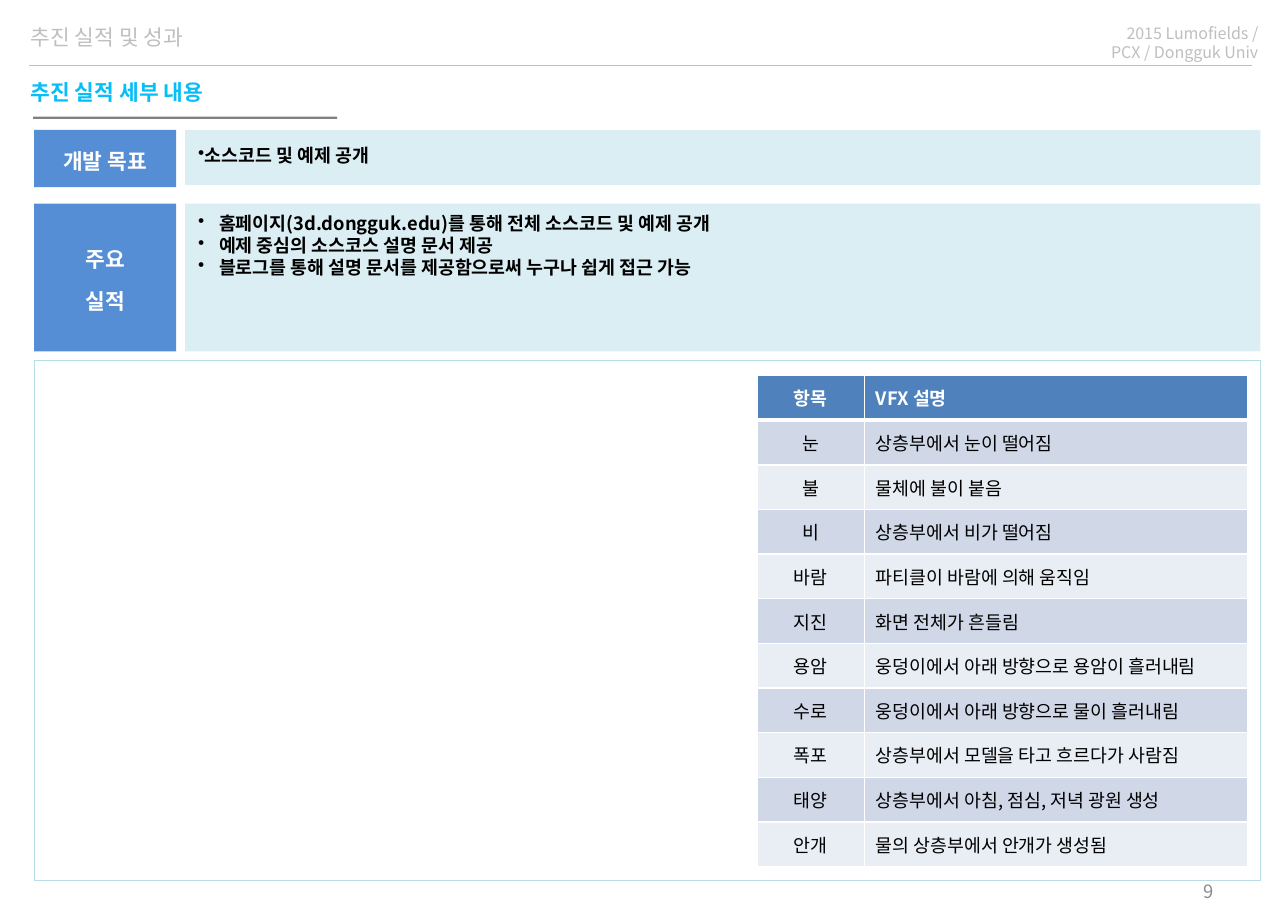
from collections import namedtuple
from lxml.etree import SubElement
from pptx import Presentation
from pptx.dml.color import RGBColor
from pptx.enum.shapes import MSO_CONNECTOR, MSO_SHAPE
from pptx.enum.text import MSO_ANCHOR as ANCHOR, PP_ALIGN as ALIGN
from pptx.oxml.ns import qn
from pptx.util import Inches, Pt

FONT = "Noto Sans CJK KR"
WHITE, BLACK, PALE_GRAY = "FFFFFF", "000000", "BFBFBF"
BLUE, PALE_BLUE, FRAME_BLUE = "558ED5", "DBEEF4", "B7DEE8"
HEADER_BLUE, BANDS = "4F81BD", ("D0D8E8", "E9EDF4")

EFFECTS = [
    ("항목", "VFX 설명"),
    ("눈", "상층부에서 눈이 떨어짐"),
    ("불", "물체에 불이 붙음"),
    ("비", "상층부에서 비가 떨어짐"),
    ("바람", "파티클이 바람에 의해 움직임"),
    ("지진", "화면 전체가 흔들림"),
    ("용암", "웅덩이에서 아래 방향으로 용암이 흘러내림"),
    ("수로", "웅덩이에서 아래 방향으로 물이 흘러내림"),
    ("폭포", "상층부에서 모델을 타고 흐르다가 사람짐"),
    ("태양", "상층부에서 아침, 점심, 저녁 광원 생성"),
    ("안개", "물의 상층부에서 안개가 생성됨"),
]

Box = namedtuple("Box", "left top width height")


def color(value):
    """Turn a hex string into a colour."""
    return RGBColor.from_string(value)


def inches(box):
    """Turn a box into lengths for python-pptx."""
    return [Inches(length) for length in box]


def write(frame, lines, size, ink, bold=False, align=ALIGN.LEFT, anchor=ANCHOR.TOP,
          bullet=None, spacing=None, gap=0):
    """Fill a text frame with equally styled paragraphs."""
    frame.word_wrap = True
    frame.vertical_anchor = anchor
    for index, line in enumerate(lines):
        paragraph = frame.paragraphs[0] if index == 0 else frame.add_paragraph()
        paragraph.text = line
        paragraph.alignment = align
        if spacing:
            paragraph.line_spacing = spacing
        if index and gap:
            paragraph.space_before = Pt(gap)
        properties = paragraph._p.get_or_add_pPr()
        if bullet:
            margin, indent = bullet
            properties.set("marL", str(Inches(margin)))
            properties.set("indent", str(Inches(indent)))
            SubElement(properties, qn("a:buChar"), char="•")
        font = paragraph.font
        font.size, font.bold, font.name = Pt(size), bold, FONT
        font.color.rgb = color(ink)
        SubElement(properties.find(qn("a:defRPr")), qn("a:ea"), typeface=FONT)


def add_text(slide, box, lines, size, ink, **style):
    """Add a wrapped text box."""
    write(slide.shapes.add_textbox(*inches(box)).text_frame, lines, size, ink, **style)


def add_panel(slide, box, fill=None, line=None):
    """Add a flat rectangle with an optional fill and outline."""
    panel = slide.shapes.add_shape(MSO_SHAPE.RECTANGLE, *inches(box))
    panel.shadow.inherit = False
    if fill:
        panel.fill.solid()
        panel.fill.fore_color.rgb = color(fill)
    else:
        panel.fill.background()
    if line:
        panel.line.color.rgb = color(line)
        panel.line.width = Pt(0.25)
    else:
        panel.line.fill.background()
    return panel


def add_header(slide, box):
    """Add the running header, its rule and the underlined section title."""
    left, top, width, height = box
    add_text(slide, Box(left + width - 4.49, top, 4.49, 0.34),
             ["2015 Lumofields /", "PCX / Dongguk Univ"], 10.5, PALE_GRAY, align=ALIGN.RIGHT)
    add_text(slide, Box(left, top, 3.15, 0.35), ["추진 실적 및 성과"], 14, PALE_GRAY,
             anchor=ANCHOR.MIDDLE)
    rule_y = Inches(top + 0.43)
    rule = slide.shapes.add_connector(MSO_CONNECTOR.STRAIGHT, Inches(left + 0.08), rule_y,
                                      Inches(left + width - 0.16), rule_y)
    rule.line.color.rgb = color(PALE_GRAY)
    rule.line.width = Pt(0.25)
    SubElement(rule._element.spPr, qn("a:effectLst"))
    add_text(slide, Box(left, top + 0.51, width / 2, 0.34), ["추진 실적 세부 내용"], 14,
             "06BEF8", bold=True)
    add_panel(slide, Box(left + 0.12, top + height - 0.02, 2.76, 0.02), "808080")


def add_topic(slide, box, label, points, bullet, inset, align, trim=0):
    """Add a labelled row with its bullet points on a pale panel."""
    left, top, width, height = box
    label_width, panel_offset = 1.29, 1.37
    label_panel = add_panel(slide, Box(left, top, label_width, height), BLUE)
    write(label_panel.text_frame, label, 14, WHITE, bold=True, align=ALIGN.CENTER,
          anchor=ANCHOR.MIDDLE, spacing=1.2, gap=7)
    panel = Box(left + panel_offset, top, width - panel_offset, height - trim)
    add_panel(slide, panel, PALE_BLUE)
    add_text(slide, Box(panel.left + 0.02, top + inset, panel.width - 0.02, height - inset),
             points, 12, BLACK, bold=True, bullet=bullet, align=align)


def add_border(cell, side, width):
    """Draw one white border of a cell."""
    line = SubElement(cell._tc.get_or_add_tcPr(), qn("a:" + side), w=str(Pt(width)))
    SubElement(SubElement(line, qn("a:solidFill")), qn("a:srgbClr"), val=WHITE)


def add_effects(slide, box):
    """Add the banded table of visual effects."""
    table = slide.shapes.add_table(len(EFFECTS), 2, *inches(box)).table
    for column, share in zip(table.columns, (0.22, 0.78)):
        column.width = Inches(box.width * share)
    for y, texts in enumerate(EFFECTS):
        table.rows[y].height = Inches(box.height / len(EFFECTS))
        for x, text in enumerate(texts):
            cell = table.cell(y, x)
            widths = (1, 1, 3 if y == 1 else 1, 3 if y == 0 else 1)
            for side, width in zip(("lnL", "lnR", "lnT", "lnB"), widths):
                add_border(cell, side, width)
            cell.fill.solid()
            cell.fill.fore_color.rgb = color(BANDS[(y - 1) % 2] if y else HEADER_BLUE)
            write(cell.text_frame, [text], 12, BLACK if y else WHITE, bold=y == 0,
                  align=ALIGN.LEFT if x else ALIGN.CENTER)
            cell.vertical_anchor = ANCHOR.MIDDLE


def add_results(slide, box):
    """Add the outlined results area with the table on its right."""
    add_panel(slide, box, line=FRAME_BLUE)
    width, height = 4.45, 4.46
    add_effects(slide, Box(box.left + box.width - width - 0.12, box.top + 0.14, width, height))


def main():
    """Build and save the slide."""
    deck = Presentation()
    deck.slide_width, deck.slide_height = Inches(11.69), Inches(8.27)
    slide = deck.slides.add_slide(deck.slide_layouts[6])
    left, width = 0.31, 11.13
    add_header(slide, Box(0.18, 0.16, 11.34, 0.92))
    add_topic(slide, Box(left, 1.18, width, 0.52), ["개발 목표"], ["소스코드 및 예제 공개"],
              (0, -0.1), 0.08, ALIGN.JUSTIFY, trim=0.02)
    add_topic(slide, Box(left, 1.85, width, 1.34), ["주요", "실적"],
              ["홈페이지(3d.dongguk.edu)를 통해 전체 소스코드 및 예제 공개",
               "예제 중심의 소스코스 설명 문서 제공",
               "블로그를 통해 설명 문서를 제공함으로써 누구나 쉽게 접근 가능"],
              (0.19, -0.19), 0.03, ALIGN.LEFT)
    add_results(slide, Box(left, 3.27, width, 4.72))
    add_text(slide, Box(8.38, 7.87, 2.73, 0.44), ["9"], 12, "8C8C8C", align=ALIGN.RIGHT,
             anchor=ANCHOR.MIDDLE)
    deck.save("out.pptx")


if __name__ == "__main__":
    main()
